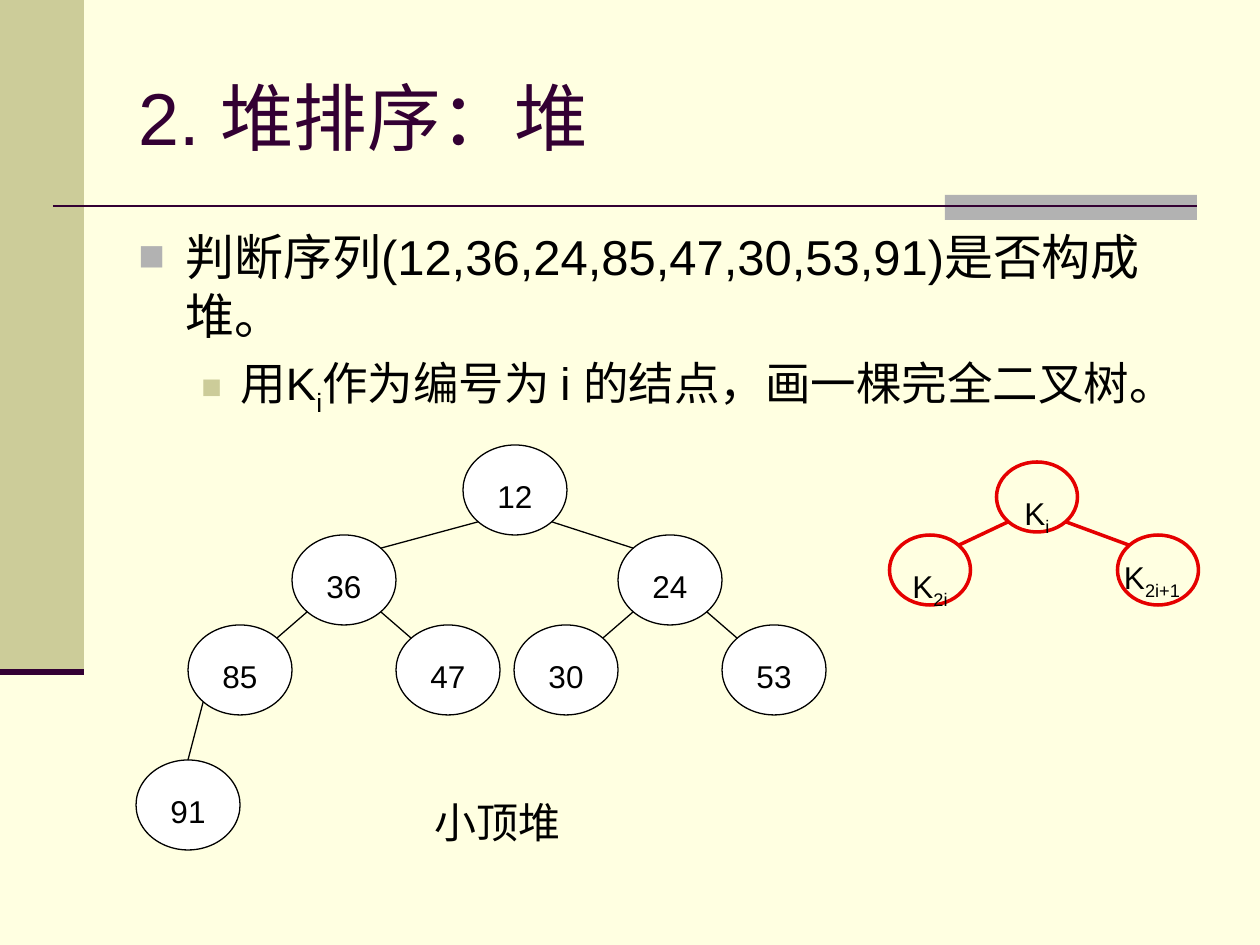
from lxml import etree
from pptx import Presentation
from pptx import util as u
from pptx.dml.color import RGBColor
from pptx.enum import shapes, text
from pptx.oxml.ns import qn

INK, OLIVE, GRAY, CREAM = "330033", "CCCC99", "B2B2B2", "FFFFE1"
BLACK, WHITE, RED = "000000", "FFFFFF", "E50000"
TITLE = "2. 堆排序：堆"
CAPTION = "小顶堆"
BULLETS = [
    dict(runs=["判断序列(12,36,24,85,47,30,53,91)是否构成堆。"],
         size=28, left=47, hang=47, before=0, color=GRAY, scale=90),
    dict(runs=["用K", ("i",), "作为编号为 i 的结点，画一棵完全二叉树。"],
         size=26, left=102, hang=39, before=6.5, color=OLIVE, scale=75),
]
HEAP = [("12", 515, 490), ("36", 344, 580), ("24", 670, 580), ("85", 240, 670),
        ("47", 448, 670), ("30", 566, 670), ("53", 774, 670), ("91", 188, 805)]
RULE = [(["K", ("i",)], 1037, 497), (["K", ("2i",)], 930, 570), (None, 1158, 570)]
RIGHT_LABEL = ["K", ("2i+1",)]
NODE, SMALL = (104, 90), (81, 70)
DIAGONAL = 0.707


def px(n):
    return u.Emu(round(n * 914400 / 126))


def rgb(c):
    return RGBColor.from_string(c)


def write(p, runs, size=18, color=BLACK, align=text.PP_ALIGN.LEFT, spacing=None, before=0):
    p.alignment, p.space_before = align, u.Pt(before)
    if spacing:
        p.line_spacing = spacing
    for part in [runs] if isinstance(runs, str) else runs:
        r = p.add_run()
        r.text = part if isinstance(part, str) else part[0]
        r.font.size, r.font.name = u.Pt(size), "Arial"
        r.font.color.rgb = rgb(color)
        if isinstance(part, tuple):
            r.font._element.set("baseline", "-25000")


def bullet(p, left, hang, color, scale):
    pPr = p._p.get_or_add_pPr()
    pPr.set("marL", str(px(left)))
    pPr.set("indent", str(-px(hang)))
    clr = etree.SubElement(pPr, qn("a:buClr"))
    etree.SubElement(clr, qn("a:srgbClr"), val=color)
    etree.SubElement(pPr, qn("a:buSzPct"), val=str(scale * 1000))
    etree.SubElement(pPr, qn("a:buFont"), typeface="Arial")
    etree.SubElement(pPr, qn("a:buChar"), char="■")


def shape(s, kind, x, y, w, h, fill=None, line=None, weight=1, runs=None,
          align=text.PP_ALIGN.CENTER):
    sp = s.shapes.add_shape(kind, px(x), px(y), px(w), px(h))
    sp.shadow.inherit = False
    if fill:
        sp.fill.solid()
        sp.fill.fore_color.rgb = rgb(fill)
    else:
        sp.fill.background()
    if line:
        sp.line.color.rgb, sp.line.width = rgb(line), u.Pt(weight)
    else:
        sp.line.fill.background()
    if runs:
        tf = sp.text_frame
        tf.margin_left = tf.margin_top = tf.margin_right = tf.margin_bottom = 0
        tf.vertical_anchor, tf.word_wrap = text.MSO_ANCHOR.TOP, True
        write(tf.paragraphs[0], runs, align=align, spacing=1.5)


def line(s, x1, y1, x2, y2, color, weight):
    c = s.shapes.add_connector(shapes.MSO_CONNECTOR.STRAIGHT, px(x1), px(y1), px(x2), px(y2))
    c.line.color.rgb, c.line.width = rgb(color), u.Pt(weight)
    etree.SubElement(c._element.spPr, qn("a:effectLst"))


def tree(s, nodes, size, fill, color, weight):
    w, h = size
    dx, dy = w / 2 * DIAGONAL, h / 2 * DIAGONAL
    for runs, cx, cy in nodes:
        shape(s, shapes.MSO_SHAPE.OVAL, cx - w / 2, cy - h / 2, w, h,
              fill if runs else None, color, weight, runs)
    for i, (_, cx, cy) in enumerate(nodes[1:], 2):
        _, parent_x, parent_y = nodes[i // 2 - 1]
        side = 1 if i % 2 else -1
        end = (cx - side * dx, cy - dy) if i < 8 else (cx, cy - h / 2)
        line(s, parent_x + side * dx, parent_y + dy, *end, color, weight)


def main():
    prs = Presentation()
    prs.slide_width, prs.slide_height = px(1260), px(945)
    s = prs.slides.add_slide(prs.slide_layouts[5])
    s.background.fill.solid()
    s.background.fill.fore_color.rgb = rgb(CREAM)

    rect = shapes.MSO_SHAPE.RECTANGLE
    shape(s, rect, 0, 0, 84, 672, OLIVE)
    shape(s, rect, 945, 195, 252, 25, GRAY)
    line(s, 53, 206, 1197, 206, INK, 1.5)
    line(s, 0, 672, 84, 672, INK, 3.5)

    title = s.shapes.title
    title.left, title.top, title.width, title.height = px(126), px(38), px(1071), px(157)
    tf = title.text_frame
    tf.auto_size, tf.vertical_anchor = text.MSO_AUTO_SIZE.NONE, text.MSO_ANCHOR.MIDDLE
    write(tf.paragraphs[0], TITLE, size=42, color=INK)

    tf = s.shapes.add_textbox(px(126), px(220), px(1071), px(624)).text_frame
    tf.word_wrap = True
    for i, b in enumerate(BULLETS):
        p = tf.add_paragraph() if i else tf.paragraphs[0]
        p.level = i
        p.space_before = u.Pt(b["before"])
        bullet(p, b["left"], b["hang"], b["color"], b["scale"])
        write(p, b["runs"], size=b["size"], before=b["before"])

    tree(s, HEAP, NODE, WHITE, BLACK, 0.75)
    shape(s, rect, 1124, 537, 81, 69, CREAM, runs=RIGHT_LABEL, align=text.PP_ALIGN.LEFT)
    tree(s, RULE, SMALL, CREAM, RED, 2)

    tf = s.shapes.add_textbox(px(422), px(790), px(151), px(63)).text_frame
    tf.word_wrap, tf.auto_size = False, text.MSO_AUTO_SIZE.SHAPE_TO_FIT_TEXT
    write(tf.paragraphs[0], CAPTION, size=24)
    prs.save("out.pptx")


if __name__ == "__main__":
    main()
